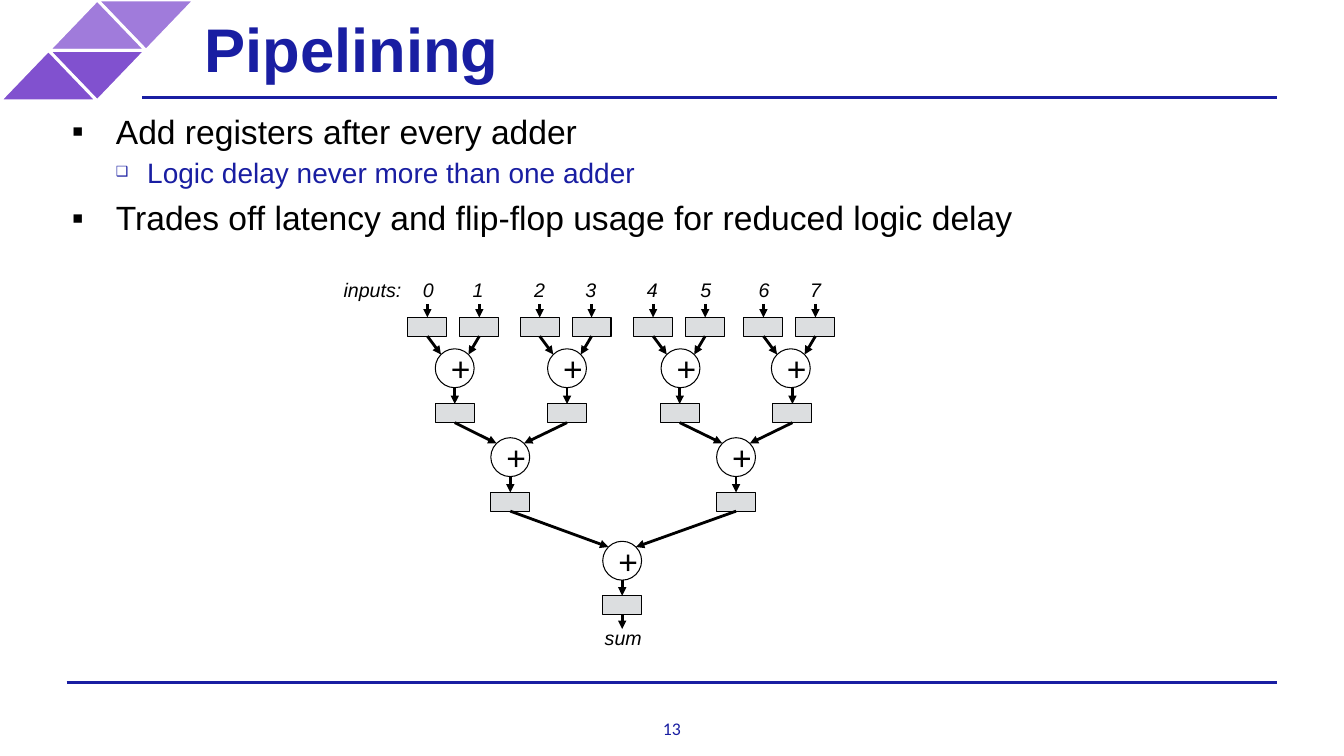
from dataclasses import dataclass
from math import sqrt

from lxml import etree
from pptx import Presentation
from pptx.dml.color import RGBColor
from pptx.enum.shapes import MSO_CONNECTOR, MSO_SHAPE
from pptx.enum.text import MSO_ANCHOR, MSO_AUTO_SIZE, PP_ALIGN
from pptx.oxml.ns import qn
from pptx.shapes.autoshape import Shape
from pptx.shapes.connector import Connector
from pptx.shapes.shapetree import SlideShapes
from pptx.text.text import TextFrame, _Paragraph
from pptx.util import Cm, Pt

STRAIGHT = MSO_CONNECTOR.STRAIGHT
RECTANGLE, ELLIPSE, TRIANGLE = MSO_SHAPE.RECTANGLE, MSO_SHAPE.OVAL, MSO_SHAPE.ISOSCELES_TRIANGLE
TOP, MIDDLE = MSO_ANCHOR.TOP, MSO_ANCHOR.MIDDLE
LEFT, CENTER = PP_ALIGN.LEFT, PP_ALIGN.CENTER
FIXED_SIZE = MSO_AUTO_SIZE.NONE
TOP_SIDE, BOTTOM_SIDE = 0, 2


@dataclass(frozen=True)
class Theme:
    navy: RGBColor = RGBColor(0x19, 0x1E, 0xA2)
    black: RGBColor = RGBColor(0, 0, 0)
    white: RGBColor = RGBColor(255, 255, 255)
    gray: RGBColor = RGBColor(0xDC, 0xDE, 0xE0)
    light_purple: RGBColor = RGBColor(0xA0, 0x7B, 0xDB)
    purple: RGBColor = RGBColor(0x81, 0x51, 0xCF)
    font: str = "Arial"
    number_font: str = "Calibri"
    title_size: float = 44
    body_size: float = 24
    sub_size: float = 20
    label_size: float = 14
    number_size: float = 12.7
    thick: float = 2
    thin: float = 0.75


@dataclass(frozen=True)
class Triangle:
    column: int
    row: int
    inverted: bool
    color: RGBColor


@dataclass(frozen=True)
class Bullet:
    text: str
    level: int
    margin: float
    hanging: float
    before: float
    mark: str
    mark_percent: int
    size: float
    color: RGBColor


@dataclass(frozen=True)
class Adder:
    center: float
    register_center: float


@dataclass(frozen=True)
class Stage:
    adder_top: float
    register_top: float
    adders: tuple[Adder, ...]


@dataclass(frozen=True)
class Label:
    text: str
    left: float
    top: float
    width: float


THEME = Theme()
TRIANGLE_WIDTH, TRIANGLE_HEIGHT, TRIANGLE_STEP = 2.44, 1.27, 1.23
ADDER_SIZE, REGISTER_WIDTH, REGISTER_HEIGHT = 0.98, 0.98, 0.47
INPUT_ARROW_TOP, INPUT_REGISTER_TOP, SUM_ARROW_END = 7.66, 8.0, 15.85
INPUT_OFFSETS = (-0.69, 0.62)
LABEL_TOP, LABEL_HEIGHT = 6.88, 0.86
DIGIT_LEFTS = (10.36, 11.61, 13.16, 14.45, 16.0, 17.35, 18.82, 20.12)

TRIANGLES = (
    Triangle(2, 0, True, THEME.light_purple),
    Triangle(1, 0, False, THEME.light_purple),
    Triangle(1, 1, True, THEME.purple),
    Triangle(0, 1, False, THEME.purple),
)
BULLETS = (
    Bullet("Add registers after every adder", 0, 1.27, 1.11, 6, "▪", 100, THEME.body_size, THEME.black),
    Bullet("Logic delay never more than one adder", 1, 2.06, 0.79, 3, "❑", 50, THEME.sub_size, THEME.navy),
    Bullet("Trades off latency and flip-flop usage for reduced logic delay", 0, 1.27, 1.11, 6, "▪", 100,
           THEME.body_size, THEME.black),
)
STAGES = (
    Stage(8.79, 10.18, (Adder(11.46, 11.46), Adder(14.29, 14.29), Adder(17.15, 17.13), Adder(19.93, 19.97))),
    Stage(11.03, 12.41, (Adder(12.86, 12.86), Adder(18.55, 18.55))),
    Stage(13.64, 15.01, (Adder(15.68, 15.68),)),
)
LABELS = (
    Label("inputs:", 8.36, LABEL_TOP, 2.26),
    *(Label(str(index), left, LABEL_TOP, 0.97) for index, left in enumerate(DIGIT_LEFTS)),
    Label("sum", 14.94, 15.65, 2.26),
)


def format_paragraph(paragraph: _Paragraph, size: float, color: RGBColor, font: str = THEME.font,
                     bold: bool = False, italic: bool = False) -> None:
    for run in paragraph.runs:
        run.font.size, run.font.name = Pt(size), font
        run.font.bold, run.font.italic = bold, italic
        run.font.color.rgb = color


def set_frame(frame: TextFrame, inset: float, anchor: MSO_ANCHOR) -> None:
    frame.margin_left = frame.margin_right = frame.margin_top = frame.margin_bottom = Cm(inset)
    frame.vertical_anchor, frame.word_wrap, frame.auto_size = anchor, True, FIXED_SIZE


def place(shape: Shape, left: float, top: float, width: float, height: float) -> None:
    shape.left, shape.top, shape.width, shape.height = Cm(left), Cm(top), Cm(width), Cm(height)


def add_line(shapes: SlideShapes, start: tuple[float, float], end: tuple[float, float],
             color: RGBColor, arrow: bool = False) -> Connector:
    connector = shapes.add_connector(STRAIGHT, *map(Cm, start + end))
    connector.line.color.rgb, connector.line.width = color, Pt(THEME.thick)
    properties = connector._element.spPr
    if arrow:
        etree.SubElement(properties.find(qn("a:ln")), qn("a:tailEnd"), type="triangle")
    etree.SubElement(properties, qn("a:effectLst"))
    return connector


def add_figure(shapes: SlideShapes, kind: MSO_SHAPE, left: float, top: float, width: float, height: float,
               fill: RGBColor | None, outline: RGBColor, weight: float) -> Shape:
    shape = shapes.add_shape(kind, Cm(left), Cm(top), Cm(width), Cm(height))
    shape.shadow.inherit = False
    if fill is None:
        shape.fill.background()
    else:
        shape.fill.solid()
        shape.fill.fore_color.rgb = fill
    shape.line.color.rgb, shape.line.width = outline, Pt(weight)
    return shape


def add_register(shapes: SlideShapes, center: float, top: float) -> Shape:
    return add_figure(shapes, RECTANGLE, center - REGISTER_WIDTH / 2, top, REGISTER_WIDTH, REGISTER_HEIGHT,
                      THEME.gray, THEME.black, THEME.thin)


def add_adder(shapes: SlideShapes, adder: Adder, stage: Stage, sources: tuple[Shape, Shape]) -> Shape:
    radius = ADDER_SIZE / 2
    circle = add_figure(shapes, ELLIPSE, adder.center - radius, stage.adder_top, ADDER_SIZE, ADDER_SIZE,
                        None, THEME.black, THEME.thin)
    circle.text_frame.text = "+"
    paragraph = circle.text_frame.paragraphs[0]
    paragraph.alignment = LEFT
    format_paragraph(paragraph, THEME.body_size, THEME.black)
    reach = radius / sqrt(2)
    for source, side in zip(sources, (-1, 1)):
        end = (adder.center + side * reach, stage.adder_top + radius - reach)
        add_line(shapes, end, end, THEME.black, arrow=True).begin_connect(source, BOTTOM_SIDE)
    register = add_register(shapes, adder.register_center, stage.register_top)
    start = (adder.register_center, stage.adder_top + ADDER_SIZE)
    add_line(shapes, start, start, THEME.black, arrow=True).end_connect(register, TOP_SIDE)
    return register


def add_tree(shapes: SlideShapes) -> None:
    registers = []
    for center in (adder.center + offset for adder in STAGES[0].adders for offset in INPUT_OFFSETS):
        registers.append(add_register(shapes, center, INPUT_REGISTER_TOP))
        start = (center, INPUT_ARROW_TOP)
        add_line(shapes, start, start, THEME.black, arrow=True).end_connect(registers[-1], TOP_SIDE)
    for stage in STAGES:
        pairs = zip(registers[::2], registers[1::2])
        registers = [add_adder(shapes, adder, stage, pair) for adder, pair in zip(stage.adders, pairs)]
    end = (STAGES[-1].adders[0].register_center, SUM_ARROW_END)
    add_line(shapes, end, end, THEME.black, arrow=True).begin_connect(registers[0], BOTTOM_SIDE)


def add_label(shapes: SlideShapes, label: Label) -> None:
    box = shapes.add_textbox(Cm(label.left), Cm(label.top), Cm(label.width), Cm(LABEL_HEIGHT))
    set_frame(box.text_frame, 0.15, MIDDLE)
    box.text_frame.text = label.text
    paragraph = box.text_frame.paragraphs[0]
    paragraph._p.get_or_add_pPr().set("marL", str(Cm(0.15)))
    format_paragraph(paragraph, THEME.label_size, THEME.black, italic=True)


def format_bullet(paragraph: _Paragraph, bullet: Bullet) -> None:
    paragraph.level, paragraph.alignment = bullet.level, LEFT
    paragraph.space_before = Pt(bullet.before)
    properties = paragraph._p.get_or_add_pPr()
    properties.set("marL", str(Cm(bullet.margin)))
    properties.set("indent", str(-Cm(bullet.hanging)))
    etree.SubElement(properties, qn("a:buSzPct"), val=str(bullet.mark_percent * 1000))
    etree.SubElement(properties, qn("a:buFont"), typeface=THEME.font)
    etree.SubElement(properties, qn("a:buChar"), char=bullet.mark)
    format_paragraph(paragraph, bullet.size, bullet.color)


def main() -> None:
    presentation = Presentation()
    presentation.slide_width, presentation.slide_height = Cm(33.87), Cm(19.05)
    slide = presentation.slides.add_slide(presentation.slide_layouts[1])
    shapes = slide.shapes

    for triangle in TRIANGLES:
        shape = add_figure(shapes, TRIANGLE, triangle.column * TRIANGLE_STEP, triangle.row * TRIANGLE_HEIGHT,
                           TRIANGLE_WIDTH, TRIANGLE_HEIGHT, triangle.color, THEME.white, THEME.thick)
        shape.rotation = 180 if triangle.inverted else 0
    for left, top in ((3.58, 2.46), (1.68, 17.2)):
        add_line(shapes, (left, top), (32.18, top), THEME.navy)

    title, body = shapes.title, slide.placeholders[1]
    place(title, 4.8, 0, 28.65, 2.41)
    set_frame(title.text_frame, 0.36, MIDDLE)
    title.text_frame.text = "Pipelining"
    heading = title.text_frame.paragraphs[0]
    heading.alignment = LEFT
    format_paragraph(heading, THEME.title_size, THEME.navy, bold=True)

    place(body, 1.65, 2.79, 30.99, 3.58)
    set_frame(body.text_frame, 0, TOP)
    body.text_frame.text = "\n".join(bullet.text for bullet in BULLETS)
    for paragraph, bullet in zip(body.text_frame.paragraphs, BULLETS):
        format_bullet(paragraph, bullet)

    add_tree(shapes)
    for label in LABELS:
        add_label(shapes, label)

    number = shapes.add_textbox(Cm(16.43), Cm(18.08), Cm(1), Cm(0.53))
    set_frame(number.text_frame, 0, TOP)
    number.text_frame.text = "13"
    paragraph = number.text_frame.paragraphs[0]
    paragraph.alignment = CENTER
    format_paragraph(paragraph, THEME.number_size, THEME.navy, THEME.number_font)

    presentation.save("out.pptx")


if __name__ == "__main__":
    main()
